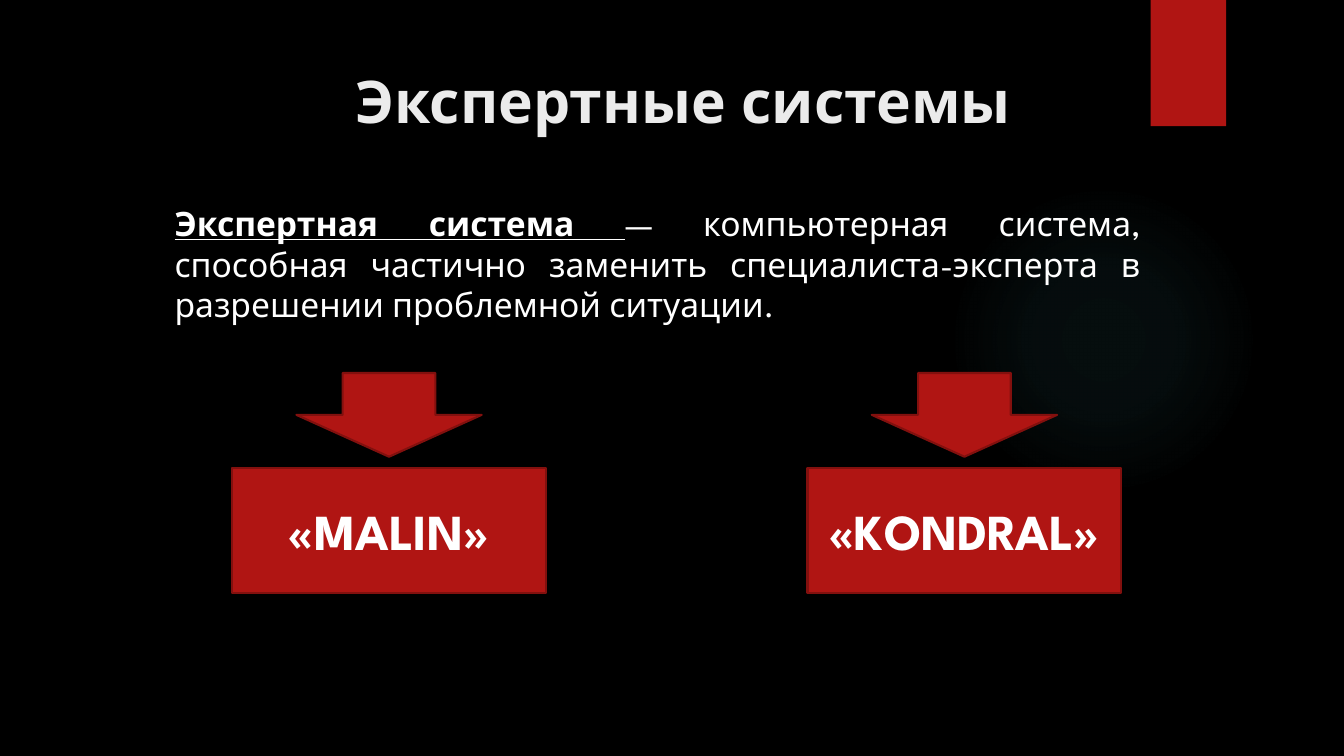
from lxml.etree import fromstring
from pptx import Presentation
from pptx.dml.color import RGBColor
from pptx.enum.shapes import MSO_SHAPE
from pptx.enum.text import MSO_ANCHOR, PP_ALIGN
from pptx.util import Cm, Pt

COLOURS = {"background": "000000", "title": "EBEBEB", "text": "FFFFFF",
           "accent": "B01513", "outline": "82100E", "glow": "50B9C1"}
FONT = "League Spartan"
GLOW_STOPS = [(0, 7), (36, 6), (69, 0)]
NAMESPACE = "http://schemas.openxmlformats.org/drawingml/2006/main"


def colour(name):
    """Return the named palette colour."""
    return RGBColor.from_string(COLOURS[name])


def add_run(paragraph, text, colour_name, **formats):
    """Append a run with the given font values."""
    run = paragraph.add_run()
    run.text = text
    for attribute, value in {"name": FONT, **formats}.items():
        setattr(run.font, attribute, value)
    run.font.color.rgb = colour(colour_name)


def place(shape, box):
    """Move a shape to a box given in centimetres."""
    for attribute, value in zip(("left", "top", "width", "height"), box):
        setattr(shape, attribute, Cm(value))


def add_block(slide, kind, box, outlined=True):
    """Add an accent-coloured shape, with a dark outline if wanted."""
    shape = slide.shapes.add_shape(kind, *map(Cm, box))
    shape.shadow.inherit = False
    shape.fill.solid()
    shape.fill.fore_color.rgb = colour("accent")
    if outlined:
        shape.line.color.rgb = colour("outline")
        shape.line.width = Pt(1.5)
    else:
        shape.line.fill.background()
    return shape


def add_glow(slide, box):
    """Add a faint circle that fades out from its centre."""
    circle = add_block(slide, MSO_SHAPE.OVAL, box, outlined=False)
    circle.fill.background()
    stops = "".join(
        f'<a:gs pos="{position * 1000}"><a:srgbClr val="{COLOURS["glow"]}">'
        f'<a:alpha val="{alpha * 1000}"/></a:srgbClr></a:gs>'
        for position, alpha in GLOW_STOPS)
    gradient = fromstring(
        f'<a:gradFill xmlns:a="{NAMESPACE}"><a:gsLst>{stops}</a:gsLst>'
        '<a:path path="circle"><a:fillToRect l="50000" t="50000" r="50000" b="50000"/>'
        '</a:path></a:gradFill>')
    properties = circle.element.spPr
    properties.replace(properties.find(f"{{{NAMESPACE}}}noFill"), gradient)


def add_title(slide, box):
    """Fill and format the title placeholder."""
    title = slide.shapes.title
    place(title, box)
    title.text_frame.vertical_anchor = MSO_ANCHOR.TOP
    paragraph = title.text_frame.paragraphs[0]
    paragraph.alignment = PP_ALIGN.CENTER
    add_run(paragraph, "Экспертные системы", "title", size=Pt(42), bold=True)


def add_definition(slide, box):
    """Add the justified definition with its underlined term."""
    frame = slide.shapes.add_textbox(*map(Cm, box)).text_frame
    frame.word_wrap = True
    paragraph = frame.paragraphs[0]
    paragraph.alignment = PP_ALIGN.JUSTIFY
    paragraph.space_before = Pt(10)
    add_run(paragraph, "Экспертная система ", "text",
            size=Pt(24), bold=True, underline=True)
    add_run(paragraph, "— компьютерная система, способная частично заменить "
            "специалиста-эксперта в разрешении проблемной ситуации. ", "text",
            size=Pt(24), bold=False, underline=False)


def add_example(slide, name, box):
    """Add a down arrow centred above a labelled rectangle."""
    left, top, width, height = box
    arrow_width, arrow_height, label_height = 4.67, 2.11, 3.15
    label = add_block(slide, MSO_SHAPE.RECTANGLE,
                      (left, top + height - label_height, width, label_height))
    label.text_frame.vertical_anchor = MSO_ANCHOR.MIDDLE
    label.text_frame.word_wrap = True
    paragraph = label.text_frame.paragraphs[0]
    paragraph.alignment = PP_ALIGN.CENTER
    add_run(paragraph, name, "text", size=Pt(36), bold=True)
    add_block(slide, MSO_SHAPE.DOWN_ARROW,
              (left + (width - arrow_width) / 2, top, arrow_width, arrow_height))


def main():
    """Build and save the slide."""
    presentation = Presentation()
    presentation.slide_width, presentation.slide_height = Cm(33.87), Cm(19.05)
    slide = presentation.slides.add_slide(presentation.slide_layouts[5])
    slide.background.fill.solid()
    slide.background.fill.fore_color.rgb = colour("background")
    add_glow(slide, (23.9, 4.65, 7.82, 7.82))
    add_block(slide, MSO_SHAPE.RECTANGLE, (29, 0, 1.9, 3.18), outlined=False)
    add_title(slide, (4.15, 1.5, 26.14, 3.89))
    add_definition(slide, (4.15, 5, 24.84, 11.66))
    for column, name in enumerate(("«MALIN»", "«KONDRAL»")):
        add_example(slide, name, (5.85 + column * 14.5, 9.4, 7.91, 5.54))
    presentation.save("out.pptx")


if __name__ == "__main__":
    main()
